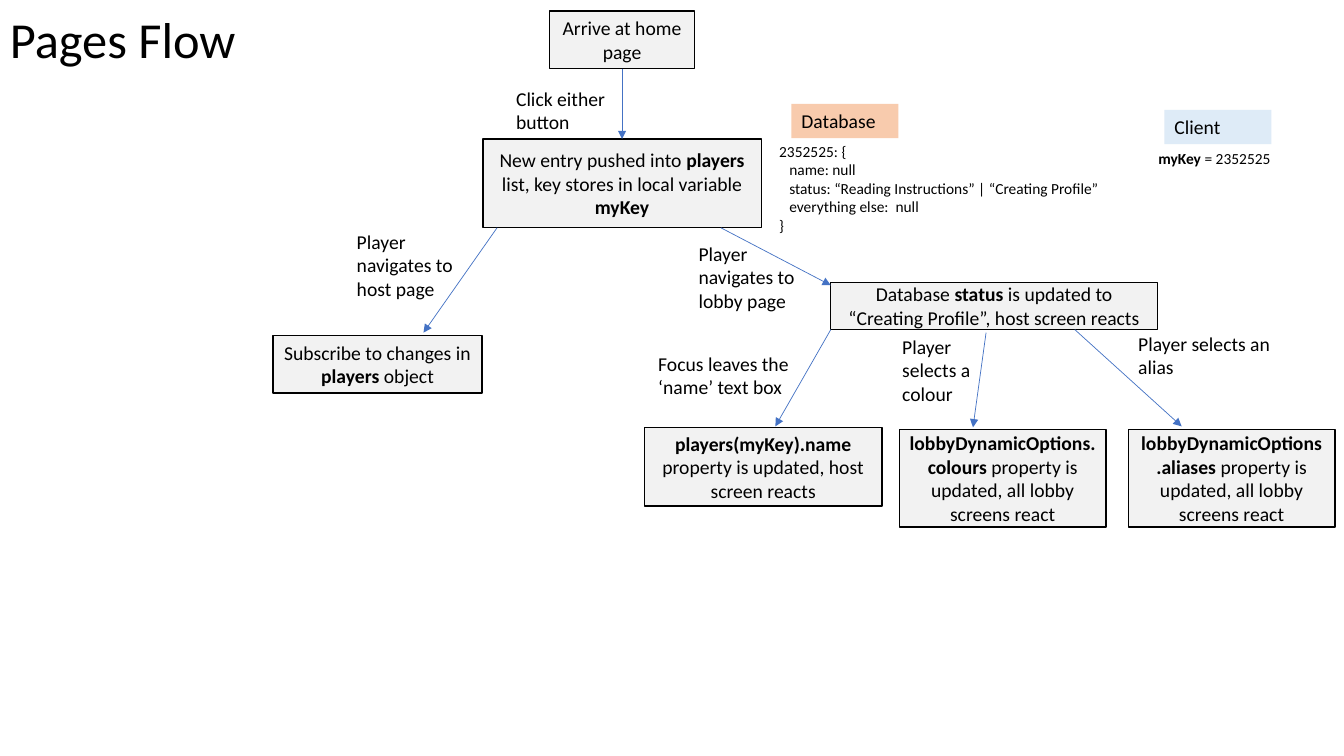
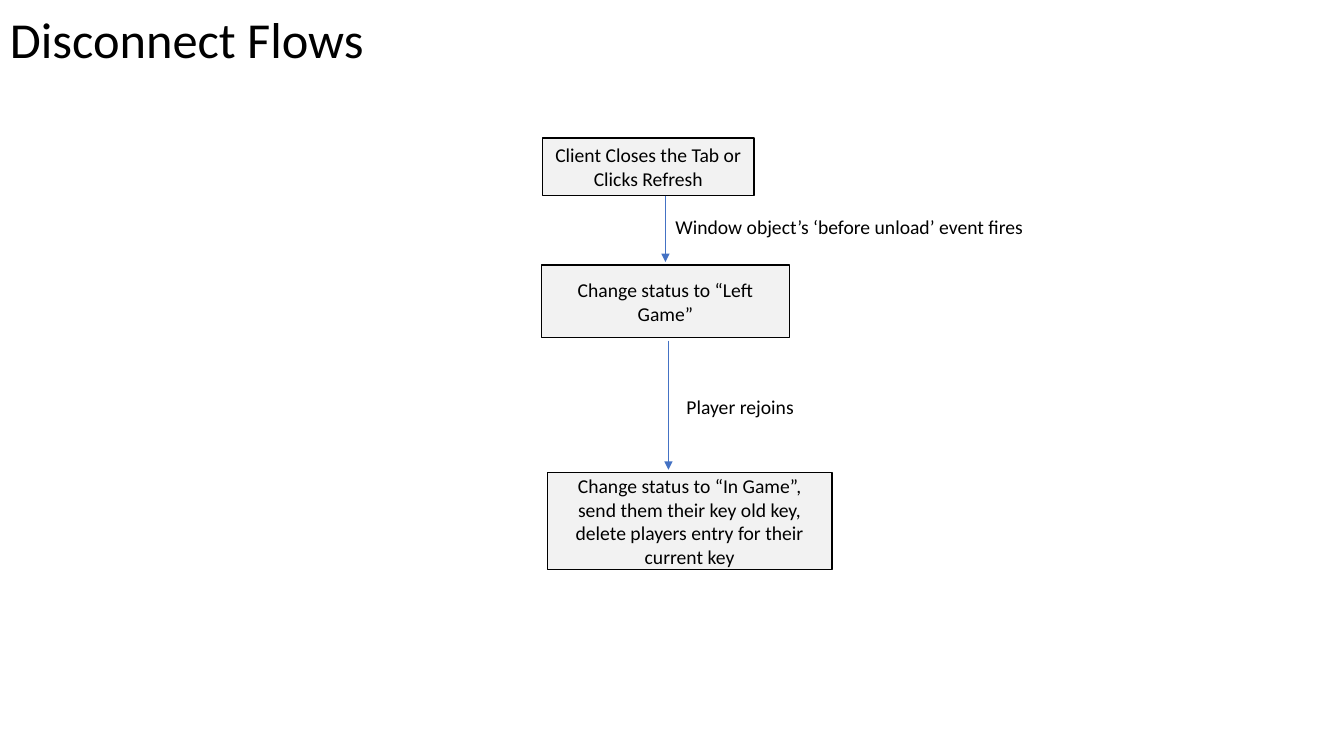
from pptx import Presentation
from pptx.dml.color import RGBColor
from pptx.enum.shapes import MSO_CONNECTOR as Connector, MSO_SHAPE as Shape
from pptx.enum.text import MSO_ANCHOR as Anchor, PP_ALIGN as Align
from pptx.oxml.ns import qn
from pptx.util import Inches, Pt
from lxml.etree import SubElement

BOTTOM, TOP = 2, 0
BLACK, GREY, BLUE = "000000", "F2F2F2", "4472C4"
ORANGE, PALE_BLUE = "F8CBAD", "DEEBF7"


def color(hex_value):
    return RGBColor.from_string(hex_value)


def set_values(target, values):
    for name, value in values.items():
        setattr(target, name, value)


class FlowDeck:
    """Holds the shared style and the slide being drawn."""

    font = {"name": "Calibri", "size": Pt(14)}
    indent = Inches(0.1)

    def __init__(self):
        self.presentation = Presentation()
        set_values(self.presentation, {"slide_width": Inches(13.33), "slide_height": Inches(7.5)})
        self.slide = None

    def new_slide(self, title, title_width):
        layout = self.presentation.slide_layouts[6]
        self.slide = self.presentation.slides.add_slide(layout)
        self.label(title, 0, 0.02, title_width, 0.8, size=36, anchor=Anchor.MIDDLE, spacing=0.9)

    def add_text(self, shape, text, size=14, anchor=Anchor.TOP, align=Align.LEFT, spacing=None):
        """Lines become paragraphs, a leading tab indents, ** switches bold."""
        frame = shape.text_frame
        set_values(frame, {"word_wrap": True, "vertical_anchor": anchor})
        for number, line in enumerate(text.split("\n")):
            paragraph = frame.add_paragraph() if number else frame.paragraphs[0]
            set_values(paragraph, {"alignment": align, "line_spacing": spacing})
            if line.startswith("\t"):
                paragraph._p.get_or_add_pPr().set("marL", str(self.indent))
            for part_number, part in enumerate(line.strip("\t").split("**")):
                if part:
                    run = paragraph.add_run()
                    run.text = part
                    set_values(run.font,
                               {**self.font, "size": Pt(size), "bold": part_number % 2 == 1})
                    run.font.color.rgb = color(BLACK)

    def label(self, text, left, top, width, height, **style):
        box = self.slide.shapes.add_textbox(*map(Inches, (left, top, width, height)))
        self.add_text(box, text, **style)

    def filled(self, kind, fill, left, top, width, height):
        shape = self.slide.shapes.add_shape(kind, *map(Inches, (left, top, width, height)))
        shape.shadow.inherit = False
        shape.fill.solid()
        shape.fill.fore_color.rgb = color(fill)
        return shape

    def step(self, text, *place):
        shape = self.filled(Shape.FLOWCHART_PROCESS, GREY, *place)
        shape.line.color.rgb = color(BLACK)
        shape.line.width = Pt(1)
        self.add_text(shape, text, anchor=Anchor.MIDDLE, align=Align.CENTER)
        return shape

    def tag(self, text, fill, left, top):
        shape = self.filled(Shape.RECTANGLE, fill, left, top, 1.06, 0.34)
        shape.line.fill.background()
        self.add_text(shape, text)

    def arrow(self, *ends):
        connector = self.slide.shapes.add_connector(Connector.STRAIGHT, *map(Inches, ends))
        connector.line.color.rgb = color(BLUE)
        connector.line.width = Pt(0.5)
        properties = connector._element.spPr
        SubElement(properties.find(qn("a:ln")), qn("a:tailEnd"), type="triangle")
        SubElement(properties, qn("a:effectLst"))
        return connector


def pages_flow(deck):
    deck.new_slide("Pages Flow", 3.1)

    # Entry to the game
    home = deck.step("Arrive at home page", 5.45, 0.11, 1.44, 0.57)
    entry = deck.step(
        "New entry pushed into **players** list, key stores in local variable **myKey**",
        4.79, 1.38, 2.76, 0.88)
    click = deck.arrow(6.17, 0.68, 6.17, 1.38)
    click.begin_connect(home, BOTTOM)
    click.end_connect(entry, TOP)

    # Host and lobby branches
    deck.step("Subscribe to changes in **players** object", 2.71, 3.33, 2.07, 0.57)
    deck.step("Database **status** is updated to “Creating Profile”, host screen reacts",
              8.24, 2.8, 3.24, 0.47)

    # Results of the lobby choices
    deck.step("**players(myKey).name** property is updated, host screen reacts",
              6.39, 4.24, 2.36, 0.78)
    for option, left in (("lobbyDynamicOptions. colours", 8.92),
                         ("lobbyDynamicOptions .aliases", 11.19)):
        deck.step(f"**{option} **property is updated, all lobby screens react",
                  left, 4.26, 2.05, 0.97)

    # Arrows between the branches
    for ends in ((4.93, 2.26, 4.2, 3.3), (7.15, 2.26, 8.24, 2.83), (8.24, 3.27, 7.69, 4.23),
                 (9.78, 3.3, 9.65, 4.24), (10.66, 3.27, 11.72, 4.23)):
        deck.arrow(*ends)

    # Arrow labels
    for text, *place in (
            ("Click either button", 5.02, 0.81, 1.36, 0.57),
            ("Player navigates to host page", 3.44, 2.23, 1.36, 0.81),
            ("Player navigates to lobby page", 6.83, 2.35, 1.36, 0.81),
            ("Focus leaves the ‘name’ text box", 6.43, 3.44, 1.52, 0.57),
            ("Player selects a colour", 8.85, 3.27, 1.22, 0.81),
            ("Player selects an alias", 11.19, 3.24, 1.52, 0.57)):
        deck.label(text, *place)

    # Stored data
    deck.tag("Database", ORANGE, 7.85, 1.03)
    deck.label("2352525: {\n\tname: null\n"
               "\tstatus: “Reading Instructions” | “Creating Profile”\n"
               "\teverything else:  null\n}", 7.63, 1.36, 3.67, 1.03, size=11)
    deck.tag("Client", PALE_BLUE, 11.55, 1.09)
    deck.label("**myKey** = 2352525", 11.39, 1.43, 1.51, 0.29, size=11)


def disconnect_flows(deck):
    deck.new_slide("Disconnect Flows", 3.78)

    # Steps
    deck.step("Client Closes the Tab or Clicks Refresh", 5.38, 1.37, 2.1, 0.57)
    deck.step("Change status to “Left Game”", 5.37, 2.63, 2.46, 0.72)
    deck.step("Change status to “In Game”, send them their key old key, "
              "delete players entry for their current key", 5.43, 4.69, 2.82, 0.96)

    # Events between the steps
    deck.arrow(6.6, 1.94, 6.6, 2.6)
    deck.label("Window object’s ‘before unload’ event fires", 6.6, 2.08, 3.7, 0.34)
    deck.arrow(6.63, 3.38, 6.63, 4.66)
    deck.label("Player rejoins", 6.71, 3.87, 3.7, 0.34)


def main():
    deck = FlowDeck()
    pages_flow(deck)
    disconnect_flows(deck)
    deck.presentation.save("out.pptx")


if __name__ == "__main__":
    main()
